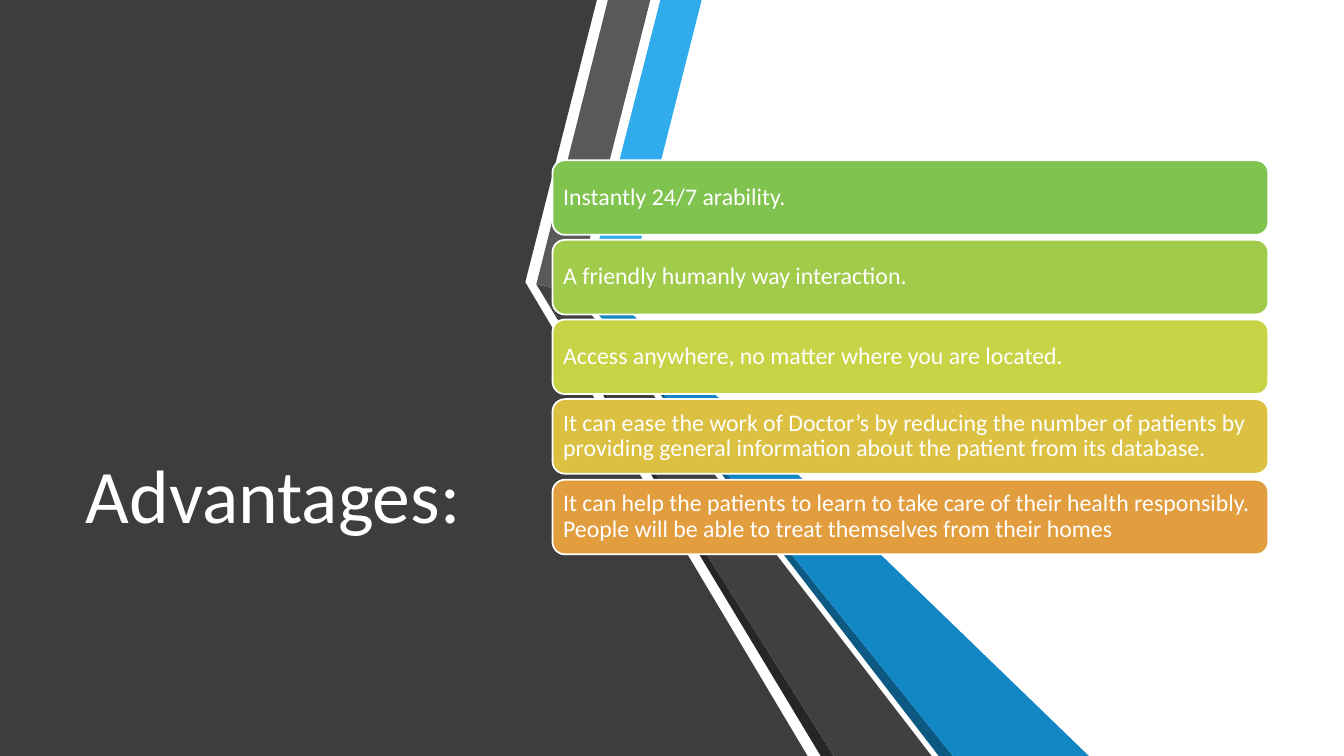
from dataclasses import dataclass

from pptx import Presentation
from pptx.dml.color import RGBColor
from pptx.enum.shapes import MSO_SHAPE
from pptx.enum.text import MSO_ANCHOR, MSO_AUTO_SIZE, PP_ALIGN
from pptx.util import Pt

TITLE = "Advantages:"
ADVANTAGES = [
    ("Instantly 24/7 arability.", "80C34F"),
    ("A friendly humanly way interaction.", "A1CB4A"),
    ("Access anywhere, no matter where you are located.", "C8D346"),
    ("It can ease the work of Doctor’s by reducing the number of patients by "
     "providing general information about the patient from its database.", "DBC042"),
    ("It can help the patients to learn to take care of their health responsibly. "
     "People will be able to treat themselves from their homes", "E29D3E"),
]


@dataclass(frozen=True)
class Theme:
    font: str = "Calibri"
    title_size: int = 54
    card_size: int = 17
    white: str = "FFFFFF"
    panel: str = "3D3D3D"
    light_blue: str = "30ACEC"
    blue: str = "1287C3"
    dark_blue: str = "0C5A82"
    light_gray: str = "595959"
    gray: str = "404040"
    dark_gray: str = "262626"


THEME = Theme()

# Lengths in px, 100 to the inch
EMU_PER_PX = 9144
SLIDE_WIDTH, SLIDE_HEIGHT = 1333, 750
TITLE_BOX = (75, 179, 446, 362)
CARD_LEFT, CARD_WIDTH, CARD_HEIGHT = 548, 710, 74
FIRST_CARD_TOP, LAST_CARD_TOP = 159, 476
CARD_INSET = 7

PANEL = [(0, 0), (592, 0), (521, 280), (801, 750), (0, 750)]
RIBBONS = [
    (THEME.light_blue, [(580, 294), (619, 304), (696, 0), (655, 0)]),
    (THEME.light_gray, [(571, 292), (645, 0), (603, 0), (532, 282)]),
    (THEME.dark_gray, [(532, 282), (814, 750), (827, 750)]),
    (THEME.dark_blue, [(580, 294), (931, 750), (945, 750)]),
    (THEME.blue, [(580, 294), (945, 750), (1080, 750), (619, 304)]),
    (THEME.gray, [(532, 282), (827, 750), (924, 750), (578, 301), (571, 292)]),
]


def px(length):
    return length * EMU_PER_PX


def color(value):
    return RGBColor.from_string(value)


def paint(shape, fill):
    shape.shadow.inherit = False
    shape.fill.solid()
    shape.fill.fore_color.rgb = color(fill)


def add_polygon(slide, fill, points):
    builder = slide.shapes.build_freeform(*points[0], scale=EMU_PER_PX)
    builder.add_line_segments(points[1:], close=True)
    polygon = builder.convert_to_shape()
    paint(polygon, fill)
    polygon.line.fill.background()
    return polygon


def write(shape, text, size, anchor):
    frame = shape.text_frame
    frame.word_wrap = True
    frame.auto_size = MSO_AUTO_SIZE.NONE
    frame.vertical_anchor = anchor
    paragraph = frame.paragraphs[0]
    paragraph.alignment = PP_ALIGN.LEFT
    paragraph.line_spacing = 0.9
    run = paragraph.add_run()
    run.text = text
    run.font.name = THEME.font
    run.font.size = Pt(size)
    run.font.color.rgb = color(THEME.white)


def add_title(slide, panel):
    """Fill the title placeholder and stack it just above the panel."""
    title = slide.shapes.title
    title.left, title.top, title.width, title.height = map(px, TITLE_BOX)
    write(title, TITLE, THEME.title_size, MSO_ANCHOR.BOTTOM)
    panel.element.addnext(title.element)


def add_card(slide, top, text, fill):
    card = slide.shapes.add_shape(
        MSO_SHAPE.ROUNDED_RECTANGLE,
        px(CARD_LEFT), px(top), px(CARD_WIDTH), px(CARD_HEIGHT))
    paint(card, fill)
    card.line.color.rgb = color(THEME.white)
    card.line.width = Pt(1.25)
    frame = card.text_frame
    frame.margin_left = frame.margin_right = px(CARD_INSET)
    frame.margin_top = frame.margin_bottom = px(CARD_INSET)
    write(card, text, THEME.card_size, MSO_ANCHOR.MIDDLE)


def main():
    presentation = Presentation()
    presentation.slide_width = px(SLIDE_WIDTH)
    presentation.slide_height = px(SLIDE_HEIGHT)
    title_only = presentation.slide_layouts.get_by_name("Title Only")
    slide = presentation.slides.add_slide(title_only)

    panel = add_polygon(slide, THEME.panel, PANEL)
    add_title(slide, panel)
    for fill, points in RIBBONS:
        add_polygon(slide, fill, points)

    card_span = LAST_CARD_TOP - FIRST_CARD_TOP
    for index, (text, fill) in enumerate(ADVANTAGES):
        top = FIRST_CARD_TOP + index * card_span // (len(ADVANTAGES) - 1)
        add_card(slide, top, text, fill)

    presentation.save("out.pptx")


if __name__ == "__main__":
    main()
